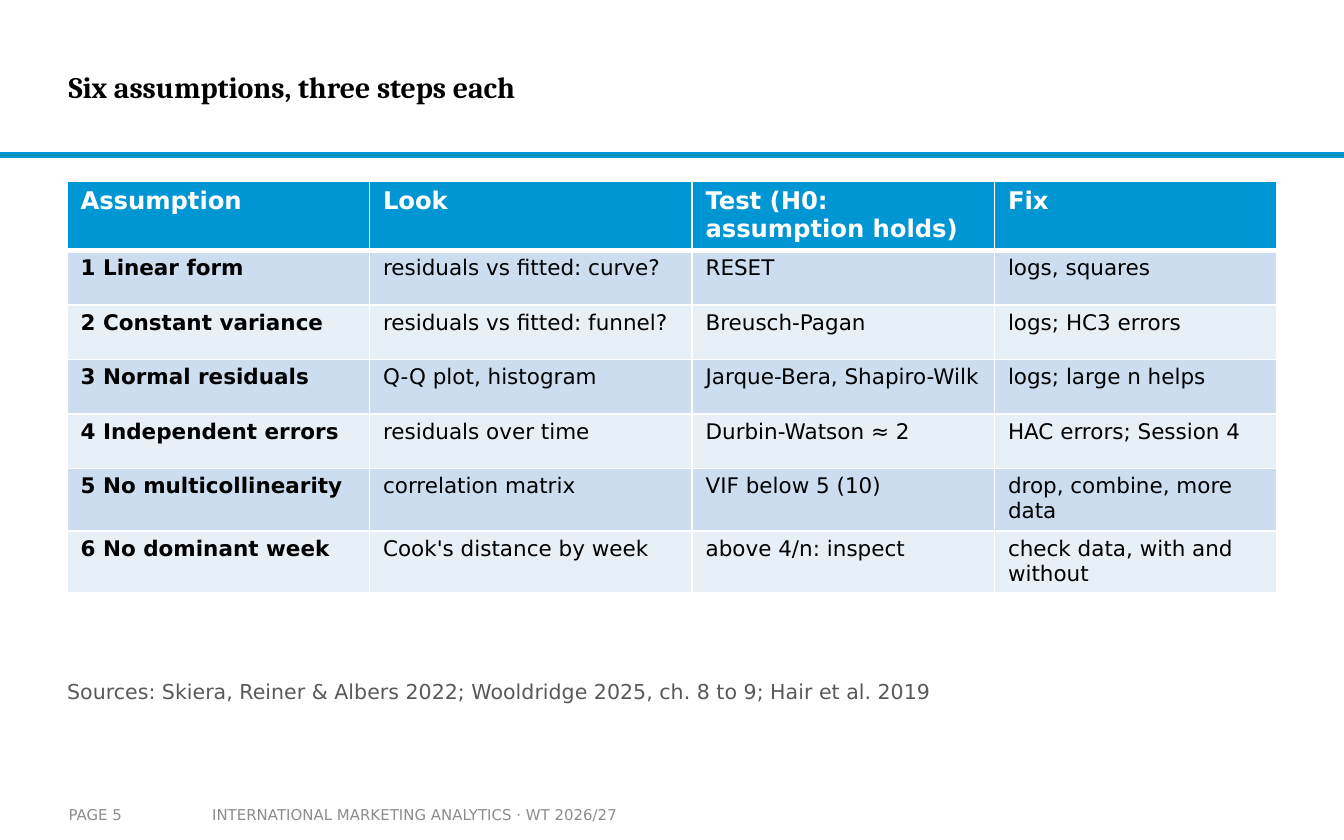
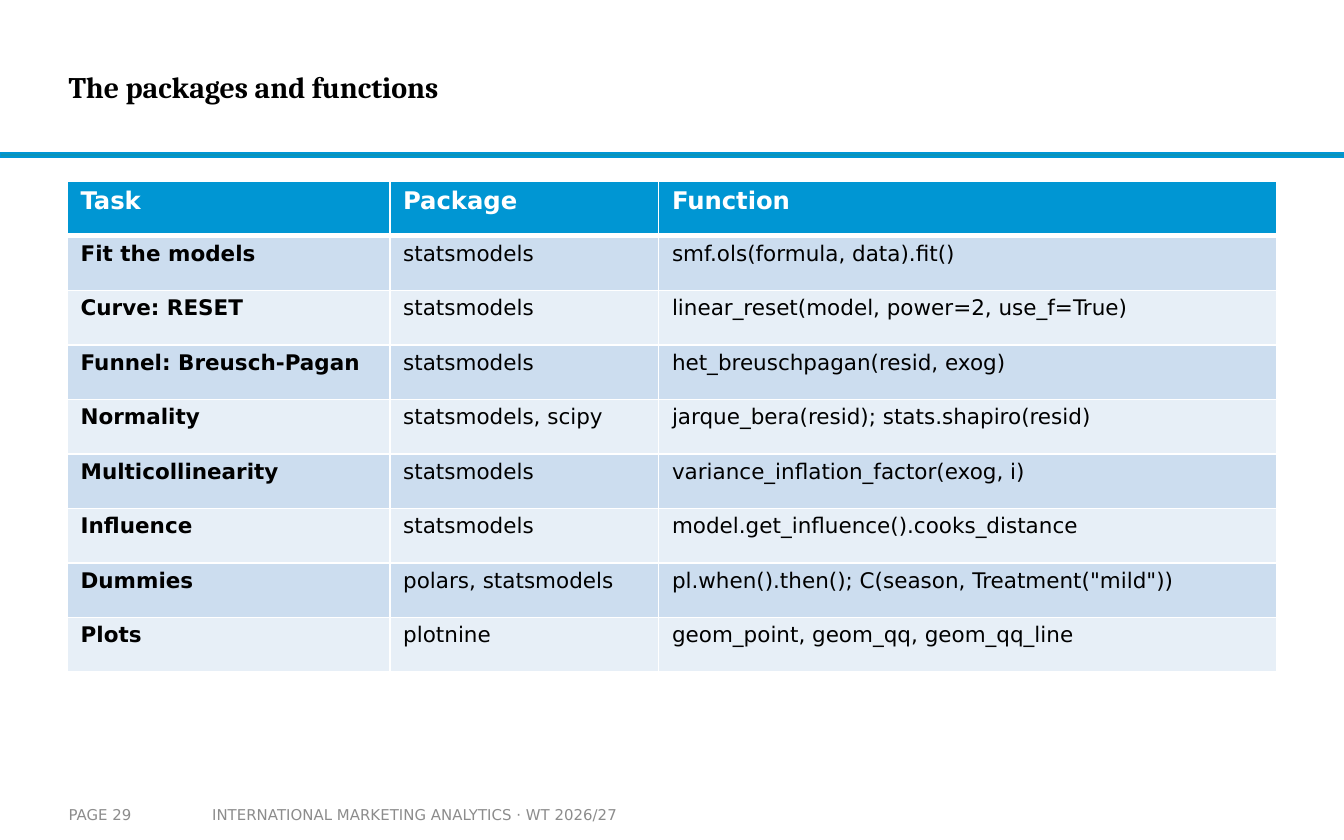
from lxml import etree
from pptx import Presentation
from pptx.dml.color import RGBColor
from pptx.enum.shapes import MSO_SHAPE
from pptx.enum.text import MSO_ANCHOR
from pptx.oxml.ns import qn
from pptx.util import Inches, Pt

RECT = MSO_SHAPE.RECTANGLE
MIDDLE = MSO_ANCHOR.MIDDLE

# Shared style
TITLE_FONT, BODY_FONT = "Cambria", "DejaVu Sans"
BLUE, RULE_FILL = "0096D3", "0C94B7"
BANDS = ("CCDDEF", "E7EFF7")
WHITE, BLACK = "FFFFFF", "000000"
FOOTER_GREY, SOURCE_GREY = "8C8C8C", "595959"
COURSE = "INTERNATIONAL MARKETING ANALYTICS · WT 2026/27"

# Slide content: the first row of each table is its header
ASSUMPTIONS = [
    ("Assumption", "Look", "Test (H0: assumption holds)", "Fix"),
    ("1 Linear form", "residuals vs fitted: curve?", "RESET", "logs, squares"),
    ("2 Constant variance", "residuals vs fitted: funnel?", "Breusch-Pagan",
     "logs; HC3 errors"),
    ("3 Normal residuals", "Q-Q plot, histogram", "Jarque-Bera, Shapiro-Wilk",
     "logs; large n helps"),
    ("4 Independent errors", "residuals over time", "Durbin-Watson ≈ 2",
     "HAC errors; Session 4"),
    ("5 No multicollinearity", "correlation matrix", "VIF below 5 (10)",
     "drop, combine, more data"),
    ("6 No dominant week", "Cook's distance by week", "above 4/n: inspect",
     "check data, with and without"),
]
FUNCTIONS = [
    ("Task", "Package", "Function"),
    ("Fit the models", "statsmodels", "smf.ols(formula, data).fit()"),
    ("Curve: RESET", "statsmodels", "linear_reset(model, power=2, use_f=True)"),
    ("Funnel: Breusch-Pagan", "statsmodels", "het_breuschpagan(resid, exog)"),
    ("Normality", "statsmodels, scipy", "jarque_bera(resid); stats.shapiro(resid)"),
    ("Multicollinearity", "statsmodels", "variance_inflation_factor(exog, i)"),
    ("Influence", "statsmodels", "model.get_influence().cooks_distance"),
    ("Dummies", "polars, statsmodels",
     'pl.when().then(); C(season, Treatment("mild"))'),
    ("Plots", "plotnine", "geom_point, geom_qq, geom_qq_line"),
]
SOURCES = ("Sources: Skiera, Reiner & Albers 2022; Wooldridge 2025, ch. 8 to 9; "
           "Hair et al. 2019")


def rgb(color):
    return RGBColor.from_string(color)


def set_font(p, size, color, bold=False, name=BODY_FONT):
    font = p.font
    font.name, font.size, font.bold = name, Pt(size), bold
    font.color.rgb = rgb(color)


def add_text(s, text, left, top, width, height, size, color, bold=False,
             name=BODY_FONT, side=0, edge=0, after=0):
    """Add one vertically centred line; side and edge are the insets."""
    box = s.shapes.add_textbox(Inches(left), Inches(top), Inches(width), Inches(height))
    tf = box.text_frame
    tf.word_wrap = True
    tf.vertical_anchor = MIDDLE
    tf.margin_left = tf.margin_right = Inches(side)
    tf.margin_top = tf.margin_bottom = Inches(edge)
    p = tf.paragraphs[0]
    p.text = text
    p.space_after = Pt(after)
    set_font(p, size, color, bold, name)


def add_border(cell, side, width):
    line = etree.SubElement(cell._tc.get_or_add_tcPr(), qn(f"a:ln{side}"),
                            w=str(Pt(width)))
    fill = etree.SubElement(line, qn("a:solidFill"))
    etree.SubElement(fill, qn("a:srgbClr"), val=WHITE)


def style_cell(cell, text, row, col):
    header = row == 0
    cell.margin_left = cell.margin_right = Inches(0.1)
    cell.margin_top = cell.margin_bottom = Inches(0.04)
    # The line between header and body is thick
    for side in "LRTB":
        thick = (side == "B" and header) or (side == "T" and row == 1)
        add_border(cell, side, 3 if thick else 1)
    cell.fill.solid()
    cell.fill.fore_color.rgb = rgb(BLUE if header else BANDS[(row - 1) % 2])
    p = cell.text_frame.paragraphs[0]
    p.text = text
    set_font(p, 13 if header else 11.5, WHITE if header else BLACK,
             header or col == 0)


def add_banded_table(s, rows, widths, height):
    table = s.shapes.add_table(len(rows), len(widths), Inches(0.5), Inches(1.35),
                               Inches(sum(widths)), Inches(height)).table
    for column, width in zip(table.columns, widths):
        column.width = Inches(width)
    for i, row in enumerate(rows):
        for j, text in enumerate(row):
            style_cell(table.cell(i, j), text, i, j)


def add_slide(prs, title, page):
    """Add a slide with the rule, title and footer."""
    s = prs.slides.add_slide(prs.slide_layouts[6])
    rule = s.shapes.add_shape(RECT, 0, Inches(1.14), prs.slide_width, Inches(0.03))
    rule.shadow.inherit = False
    rule.fill.solid()
    rule.fill.fore_color.rgb = rgb(RULE_FILL)
    rule.line.color.rgb = rgb(BLUE)
    rule.line.width = Pt(1)
    add_text(s, title, 0.51, 0.15, 7.48, 0.99, 16, BLACK, True, TITLE_FONT)
    add_text(s, COURSE, 1.48, 5.92, 3.52, 0.28, 8, FOOTER_GREY, side=0.1, edge=0.05)
    add_text(s, f"PAGE {page}", 0.51, 5.92, 0.98, 0.28, 8, FOOTER_GREY, edge=0.05)
    return s


def main():
    prs = Presentation()
    prs.slide_width, prs.slide_height = Inches(10), Inches(6.25)

    # Assumptions
    s = add_slide(prs, "Six assumptions, three steps each", 5)
    add_banded_table(s, ASSUMPTIONS, (2.25, 2.4, 2.25, 2.1), 2.84)
    add_text(s, SOURCES, 0.5, 5, 9, 0.28, 11, SOURCE_GREY, after=4)

    # Packages
    s = add_slide(prs, "The packages and functions", 29)
    add_banded_table(s, FUNCTIONS, (2.4, 2, 4.6), 3.65)

    prs.save("out.pptx")


if __name__ == "__main__":
    main()
